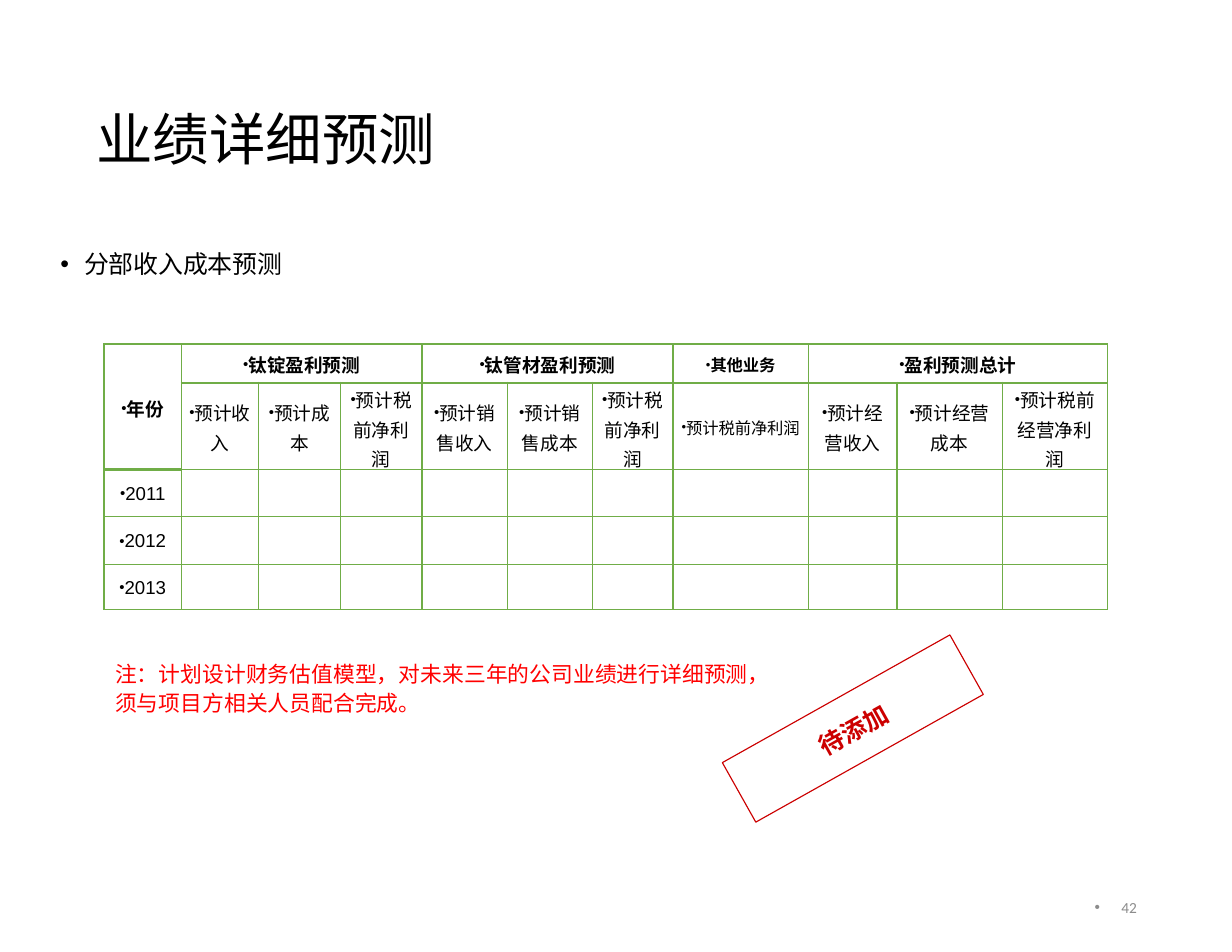
import pptx
import pptx.util
import pptx.dml.color
import pptx.enum.shapes
import pptx.enum.text
import pptx.oxml
import pptx.oxml.ns

Inches = pptx.util.Inches
Pt = pptx.util.Pt
RGBColor = pptx.dml.color.RGBColor
ALIGN = pptx.enum.text.PP_ALIGN
MIDDLE = pptx.enum.text.MSO_ANCHOR.MIDDLE

BLACK = RGBColor(0, 0, 0)
GRAY = RGBColor(0x8C, 0x8C, 0x8C)
RED = RGBColor(0xFF, 0, 0)
STAMP_RED = RGBColor(0xCC, 0, 0)
GREEN = RGBColor(0x70, 0xAD, 0x47)

WIDTH, HEIGHT = 11, 8.5
COLS = [0.69, 0.69, 0.73, 0.73, 0.76, 0.76, 0.72, 1.21, 0.79, 0.94, 0.94]
ROWS = [0.35, 0.77, 0.42, 0.43, 0.4]
OTHER_COL = 7
GROUPS = [(1, 3, "钛锭盈利预测"), (4, 3, "钛管材盈利预测"),
          (OTHER_COL, 1, "其他业务"), (8, 3, "盈利预测总计")]
MEASURES = ["预计收入", "预计成本", "预计税前净利润", "预计销售收入", "预计销售成本",
            "预计税前净利润", "预计税前净利润", "预计经营收入", "预计经营成本",
            "预计税前经营净利润"]
YEARS = ["2011", "2012", "2013"]


def place(shape, left, top, width, height):
    shape.left, shape.top = Inches(left), Inches(top)
    shape.width, shape.height = Inches(width), Inches(height)


def write(tf, text, size, font, color, bold=False, align=ALIGN.LEFT, spacing=1.0):
    tf.word_wrap = True
    p = tf.paragraphs[0]
    p.text = text
    p.alignment = align
    p.line_spacing = spacing
    p.font.size = Pt(size)
    p.font.name = font
    p.font.bold = bold
    p.font.color.rgb = color
    return p


def add_bullet(p, indent=0, percent=100):
    pPr = p._p.get_or_add_pPr()
    pPr.set("marL", str(Inches(indent)))
    pPr.set("indent", str(-Inches(indent)))
    ns = pptx.oxml.ns.nsdecls("a")
    marks = [f'<a:buSzPct {ns} val="{percent * 1000}"/>',
             f'<a:buFont {ns} typeface="Arial"/>',
             f'<a:buChar {ns} char="•"/>']
    for mark in marks:
        pPr.insert_element_before(pptx.oxml.parse_xml(mark), "a:tabLst", "a:defRPr", "a:extLst")


def set_borders(cell, bottom):
    tcPr = cell._tc.get_or_add_tcPr()
    ns = pptx.oxml.ns.nsdecls("a")
    for i, (side, width) in enumerate([("L", 1), ("R", 1), ("T", 1), ("B", bottom)]):
        tcPr.insert(i, pptx.oxml.parse_xml(
            f'<a:ln{side} {ns} w="{Pt(width)}"><a:solidFill>'
            f'<a:srgbClr val="{GREEN}"/></a:solidFill></a:ln{side}>'))


def write_cell(cell, text, bold=False, small=False):
    size, font = (10.5, "Times New Roman") if small else (12, "Arial")
    p = write(cell.text_frame, text, size, font, BLACK, bold, ALIGN.CENTER, 1.1)
    add_bullet(p, percent=80)


def add_forecast_table(s):
    frame = s.shapes.add_table(len(ROWS), len(COLS), Inches(0.93), Inches(3.07),
                               Inches(sum(COLS)), Inches(sum(ROWS)))
    table = frame.table
    for col, width in zip(table.columns, COLS):
        col.width = Inches(width)
    for row, height in zip(table.rows, ROWS):
        row.height = Inches(height)
    for r in range(len(ROWS)):
        for c in range(len(COLS)):
            cell = table.cell(r, c)
            cell.fill.background()
            cell.vertical_anchor = MIDDLE
            cell.margin_left = cell.margin_right = Inches(0.07)
            cell.margin_top = cell.margin_bottom = 0
            set_borders(cell, 2 if r == 0 else 1)
    table.cell(0, 0).merge(table.cell(1, 0))
    write_cell(table.cell(0, 0), "年份", bold=True)
    for col, span, text in GROUPS:
        if span > 1:
            table.cell(0, col).merge(table.cell(0, col + span - 1))
        write_cell(table.cell(0, col), text, bold=True, small=col == OTHER_COL)
    for col, text in enumerate(MEASURES, 1):
        write_cell(table.cell(1, col), text, small=col == OTHER_COL)
    for row, text in enumerate(YEARS, 2):
        write_cell(table.cell(row, 0), text)


def add_text(s, box, *args, **kwargs):
    tb = s.shapes.add_textbox(*map(Inches, box))
    return tb.text_frame, write(tb.text_frame, *args, **kwargs)


def add_stamp(s, text):
    sp = s.shapes.add_shape(pptx.enum.shapes.MSO_SHAPE.RECTANGLE,
                            Inches(6.45), Inches(6.2), Inches(2.33), Inches(0.61))
    sp.rotation = 330.7
    sp.shadow.inherit = False
    sp.fill.background()
    sp.line.color.rgb = STAMP_RED
    sp.line.width = Pt(0.75)
    tf = sp.text_frame
    tf.vertical_anchor = MIDDLE
    tf.margin_left = tf.margin_right = tf.margin_top = tf.margin_bottom = Inches(0.05)
    write(tf, text, 16, "Roboto", STAMP_RED, True, ALIGN.CENTER, 1.1)
    tf.word_wrap = False


def main():
    prs = pptx.Presentation()
    prs.slide_width, prs.slide_height = Inches(WIDTH), Inches(HEIGHT)
    s = prs.slides.add_slide(prs.slide_layouts[1])
    title, body = s.placeholders

    place(title, 0.76, 0.45, 9.49, 1.64)
    title.text_frame.vertical_anchor = MIDDLE
    write(title.text_frame, "业绩详细预测", 36.3, "Calibri", BLACK, spacing=0.9)

    place(body, 0.44, 2.2, 10.1, 0.79)
    p = write(body.text_frame, "分部收入成本预测", 16, "Calibri", BLACK, spacing=0.9)
    p.space_before = Pt(8.2)
    add_bullet(p, indent=0.21)

    tf, p = add_text(s, (7.77, 7.88, 2.48, 0.45), "42", 9.9, "Calibri", GRAY, align=ALIGN.RIGHT)
    tf.vertical_anchor = MIDDLE
    add_bullet(p, indent=0.24)

    add_stamp(s, "待添加")
    add_forecast_table(s)
    add_text(s, (0.93, 5.83, 6.14, 0.62),
             "注：计划设计财务估值模型，对未来三年的公司业绩进行详细预测，须与项目方相关人员配合完成。",
             14, "Arial", RED, spacing=1.1)
    prs.save("out.pptx")


if __name__ == "__main__":
    main()
